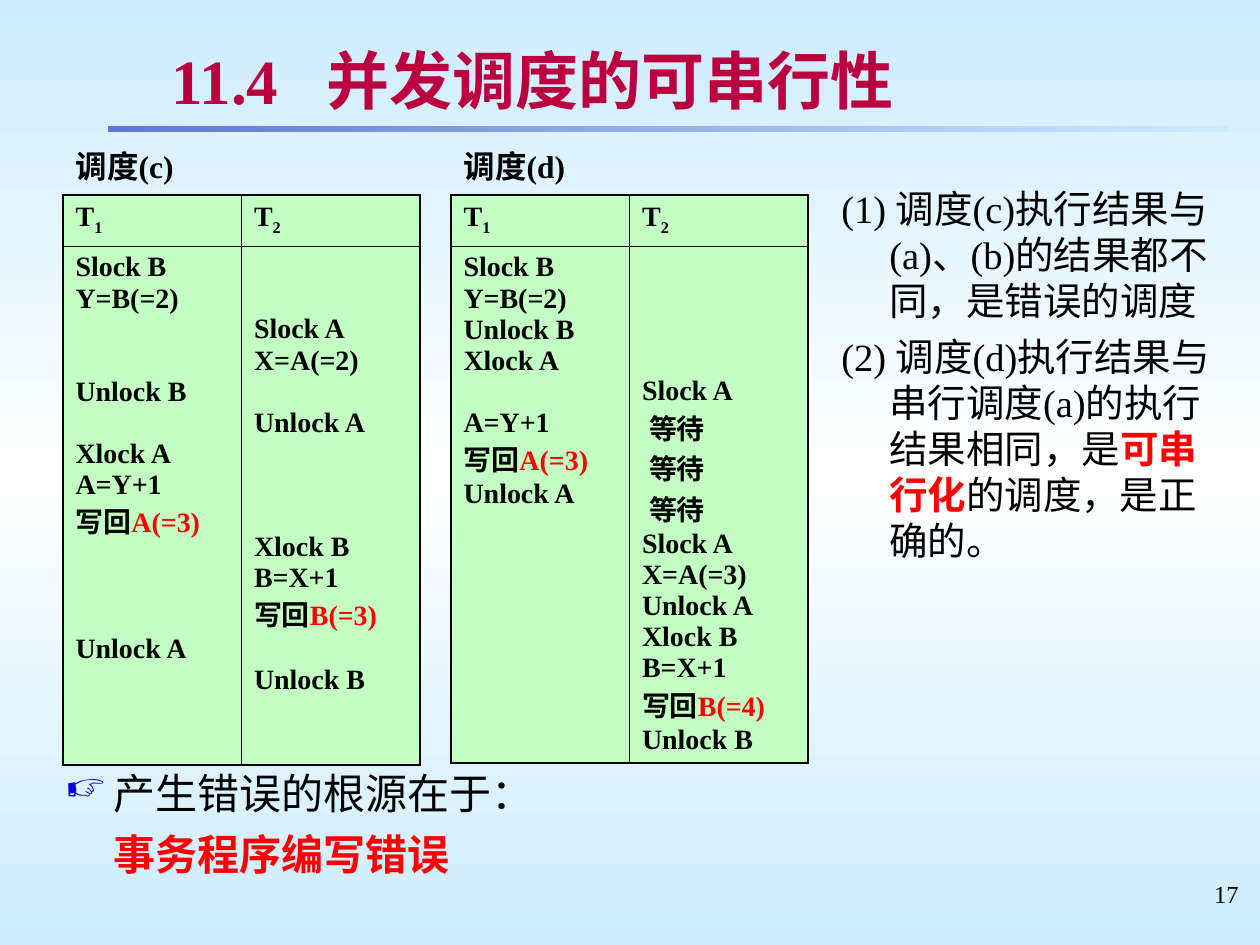
from copy import deepcopy
from dataclasses import dataclass

from lxml import etree
from pptx import Presentation
from pptx.dml.color import RGBColor
from pptx.enum.shapes import MSO_SHAPE
from pptx.enum.text import MSO_ANCHOR, PP_ALIGN
from pptx.oxml.ns import qn
from pptx.util import Emu, Pt

RECTANGLE = MSO_SHAPE.RECTANGLE
MIDDLE = MSO_ANCHOR.MIDDLE
LEFT, RIGHT = PP_ALIGN.LEFT, PP_ALIGN.RIGHT
TITLE_ONLY = 5
PX_PER_INCH = 126
NO_TABLE_STYLE = "{2D5ABB26-0587-4C30-8999-92F81FD0307C}"


@dataclass(frozen=True)
class Theme:
    font: str = "Times New Roman"
    black: str = "000000"
    red: str = "FF0000"
    title: str = "BA003E"
    sky: str = "CCECFF"
    white: str = "FFFFFF"
    rule: str = "5F76D7"
    cell: str = "C3FFC3"
    bullet: str = "0000E8"
    title_size: int = 36
    conclusion_size: int = 24
    body_size: int = 22
    caption_size: int = 18
    code_size: int = 16
    number_size: int = 14
    code_line: float = 17.7
    chinese_line: float = 23.1
    thick: float = 1.08
    thin: float = 0.45


THEME = Theme()


@dataclass(frozen=True)
class Step:
    """One operation, preceded by as many idle lines as the other transaction needs."""
    text: str
    red: str = ""
    idle: int = 0
    indent: int = 0
    chinese: bool = False


@dataclass(frozen=True)
class Schedule:
    caption: str
    left: int
    body_height: int
    first: tuple[Step, ...]
    second: tuple[Step, ...]


def write_back(value: str) -> Step:
    return Step("写回", value, chinese=True)


WAIT = Step("等待", indent=7, chinese=True)
SCHEDULES = (
    Schedule(
        "调度(c)", 63, 519,
        (Step("Slock B"), Step("Y=B(=2)"), Step("Unlock B", idle=2),
         Step("Xlock A", idle=1), Step("A=Y+1"), write_back("A(=3)"),
         Step("Unlock A", idle=3)),
        (Step("Slock A", idle=2), Step("X=A(=2)"), Step("Unlock A", idle=1),
         Step("Xlock B", idle=3), Step("B=X+1"), write_back("B(=3)"),
         Step("Unlock B", idle=1)),
    ),
    Schedule(
        "调度(d)", 451, 517,
        (Step("Slock B"), Step("Y=B(=2)"), Step("Unlock B"), Step("Xlock A"),
         Step("A=Y+1", idle=1), write_back("A(=3)"), Step("Unlock A")),
        (Step("Slock A", idle=4), WAIT, WAIT, WAIT, Step("Slock A"),
         Step("X=A(=3)"), Step("Unlock A"), Step("Xlock B"), Step("B=X+1"),
         write_back("B(=4)"), Step("Unlock B")),
    ),
)


def px(value: int) -> Emu:
    return Emu(round(value * 914400 / PX_PER_INCH))


def add_run(paragraph, text: str, size: int, color: str = THEME.black, bold: bool = False):
    run = paragraph.add_run()
    run.text = text
    run.font.size = Pt(size)
    run.font.bold = bold
    run.font.color.rgb = RGBColor.from_string(color)
    run.font.name = THEME.font
    return run


def next_paragraph(frame, index: int):
    return frame.paragraphs[0] if index == 0 else frame.add_paragraph()


def set_indent(paragraph, margin: int, first_line: int = 0):
    properties = paragraph._p.get_or_add_pPr()
    properties.set("marL", str(px(margin)))
    properties.set("indent", str(px(first_line)))
    return properties


def add_text_box(slide, left: int, top: int, width: int, height: int):
    frame = slide.shapes.add_textbox(px(left), px(top), px(width), px(height)).text_frame
    frame.word_wrap = True
    return frame


def color_gradient(fill, colors: tuple[str, ...], angle: int) -> None:
    fill.gradient_angle = angle
    for index, (stop, color) in enumerate(zip(fill.gradient_stops, colors)):
        stop.position = index / (len(colors) - 1)
        stop.color.rgb = RGBColor.from_string(color)


def draw_background(slide) -> None:
    fill = slide.background.fill
    fill.gradient()
    stops = slide.element.xpath("p:cSld/p:bg//a:gsLst")[0]
    stops.insert(1, deepcopy(stops[0]))
    color_gradient(fill, (THEME.sky, THEME.white, THEME.sky), 90)


def draw_title(slide) -> None:
    title = slide.shapes.title
    title.left, title.top, title.width, title.height = px(159), px(37), px(1038), px(84)
    frame = title.text_frame
    frame.vertical_anchor = MIDDLE
    frame.margin_top = frame.margin_bottom = px(5)
    paragraph = frame.paragraphs[0]
    paragraph.alignment = LEFT
    tabs = etree.SubElement(paragraph._p.get_or_add_pPr(), qn("a:tabLst"))
    etree.SubElement(tabs, qn("a:tab"), pos=str(px(155)), algn="l")
    run = add_run(paragraph, "11.4\t并发调度的可串行性", THEME.title_size, THEME.title, True)
    effects = etree.Element(qn("a:effectLst"))
    shadow = etree.SubElement(effects, qn("a:outerShdw"), dist="25400", dir="2700000")
    etree.SubElement(shadow, qn("a:srgbClr"), val="C0C0C0")
    run.font._element.find(qn("a:solidFill")).addnext(effects)

    rule = slide.shapes.add_shape(RECTANGLE, px(108), px(126), px(1120), px(6))
    rule.shadow.inherit = False
    rule.line.fill.background()
    rule.fill.gradient()
    color_gradient(rule.fill, (THEME.rule, THEME.sky), 0)


def set_borders(cell, **widths: float) -> None:
    """Draw sides L, R, T and B, given in that order, with widths in points."""
    properties = cell._tc.get_or_add_tcPr()
    for index, (side, width) in enumerate(widths.items()):
        line = etree.Element(qn(f"a:ln{side}"), w=str(Pt(width)))
        solid = etree.SubElement(line, qn("a:solidFill"))
        etree.SubElement(solid, qn("a:srgbClr"), val=THEME.black)
        properties.insert(index, line)


def fill_steps(cell, steps: tuple[Step, ...]) -> None:
    cell.margin_top = px(6) + Pt(steps[0].idle * THEME.code_line)
    for index, step in enumerate(steps):
        paragraph = next_paragraph(cell.text_frame, index)
        if step.indent:
            set_indent(paragraph, step.indent)
        if step.chinese:
            paragraph.line_spacing = Pt(THEME.chinese_line)
        if index and step.idle:
            paragraph.space_before = Pt(step.idle * THEME.code_line)
        add_run(paragraph, step.text, THEME.code_size, bold=True)
        if step.red:
            add_run(paragraph, step.red, THEME.code_size, THEME.red, True)


def draw_schedule(slide, schedule: Schedule) -> None:
    heights = (59, 51, schedule.body_height)
    table = slide.shapes.add_table(
        3, 2, px(schedule.left), px(136), px(357), px(sum(heights))).table
    table.first_row = table.horz_banding = False
    table._tbl.tblPr.find(qn("a:tableStyleId")).text = NO_TABLE_STYLE
    for row, height in zip(table.rows, heights):
        row.height = px(height)

    caption = table.cell(0, 0)
    caption.merge(table.cell(0, 1))
    add_run(caption.text_frame.paragraphs[0], schedule.caption, THEME.caption_size, bold=True)
    for column, steps in enumerate((schedule.first, schedule.second)):
        set_borders(table.cell(0, column), B=THEME.thick)
        header, body = table.cell(1, column), table.cell(2, column)
        left, right = (THEME.thin, THEME.thick) if column else (THEME.thick, THEME.thin)
        for cell, top, bottom in ((header, THEME.thick, THEME.thin),
                                  (body, THEME.thin, THEME.thick)):
            cell.fill.solid()
            cell.fill.fore_color.rgb = RGBColor.from_string(THEME.cell)
            set_borders(cell, L=left, R=right, T=top, B=bottom)
        paragraph = header.text_frame.paragraphs[0]
        add_run(paragraph, "T", THEME.code_size, bold=True)
        index = add_run(paragraph, str(column + 1), THEME.code_size, bold=True)
        index.font._element.set("baseline", "-25000")
        fill_steps(body, steps)


def draw_findings(slide) -> None:
    frame = add_text_box(slide, 829, 179, 399, 536)
    findings = (
        (("(1) 调度(c)执行结果与(a)、(b)的结果都不同，是错误的调度", False),),
        (("(2) 调度(d)执行结果与串行调度(a)的执行结果相同，是", False),
         ("可串行化", True), ("的调度，是正确的。", False)),
    )
    for index, runs in enumerate(findings):
        paragraph = next_paragraph(frame, index)
        set_indent(paragraph, 48, -48)
        paragraph.line_spacing = Pt(26.3)
        if index:
            paragraph.space_before = Pt(5.5)
        for text, key in runs:
            add_run(paragraph, text, THEME.body_size, THEME.red if key else THEME.black, key)


def draw_conclusion(slide) -> None:
    frame = add_text_box(slide, 53, 761, 1166, 158)
    cause, answer = frame.paragraphs[0], frame.add_paragraph()
    properties = set_indent(cause, 48, -48)
    color = etree.SubElement(properties, qn("a:buClr"))
    etree.SubElement(color, qn("a:srgbClr"), val=THEME.bullet)
    etree.SubElement(properties, qn("a:buSzPct"), val="95000")
    etree.SubElement(properties, qn("a:buChar"), char="☞")
    add_run(cause, "产生错误的根源在于：", THEME.conclusion_size)
    set_indent(answer, 48)
    answer.space_before = Pt(6)
    add_run(answer, "事务程序编写错误", THEME.conclusion_size, THEME.red, True)
    for paragraph in (cause, answer):
        paragraph.line_spacing = Pt(28.8)


def draw_slide_number(slide) -> None:
    paragraph = add_text_box(slide, 958, 873, 293, 66).paragraphs[0]
    paragraph.alignment = RIGHT
    add_run(paragraph, "17", THEME.number_size)


def main() -> None:
    presentation = Presentation()
    presentation.slide_width, presentation.slide_height = px(1260), px(945)
    slide = presentation.slides.add_slide(presentation.slide_layouts[TITLE_ONLY])
    draw_background(slide)
    draw_title(slide)
    for schedule in SCHEDULES:
        draw_schedule(slide, schedule)
    draw_findings(slide)
    draw_conclusion(slide)
    draw_slide_number(slide)
    presentation.save("out.pptx")


if __name__ == "__main__":
    main()
